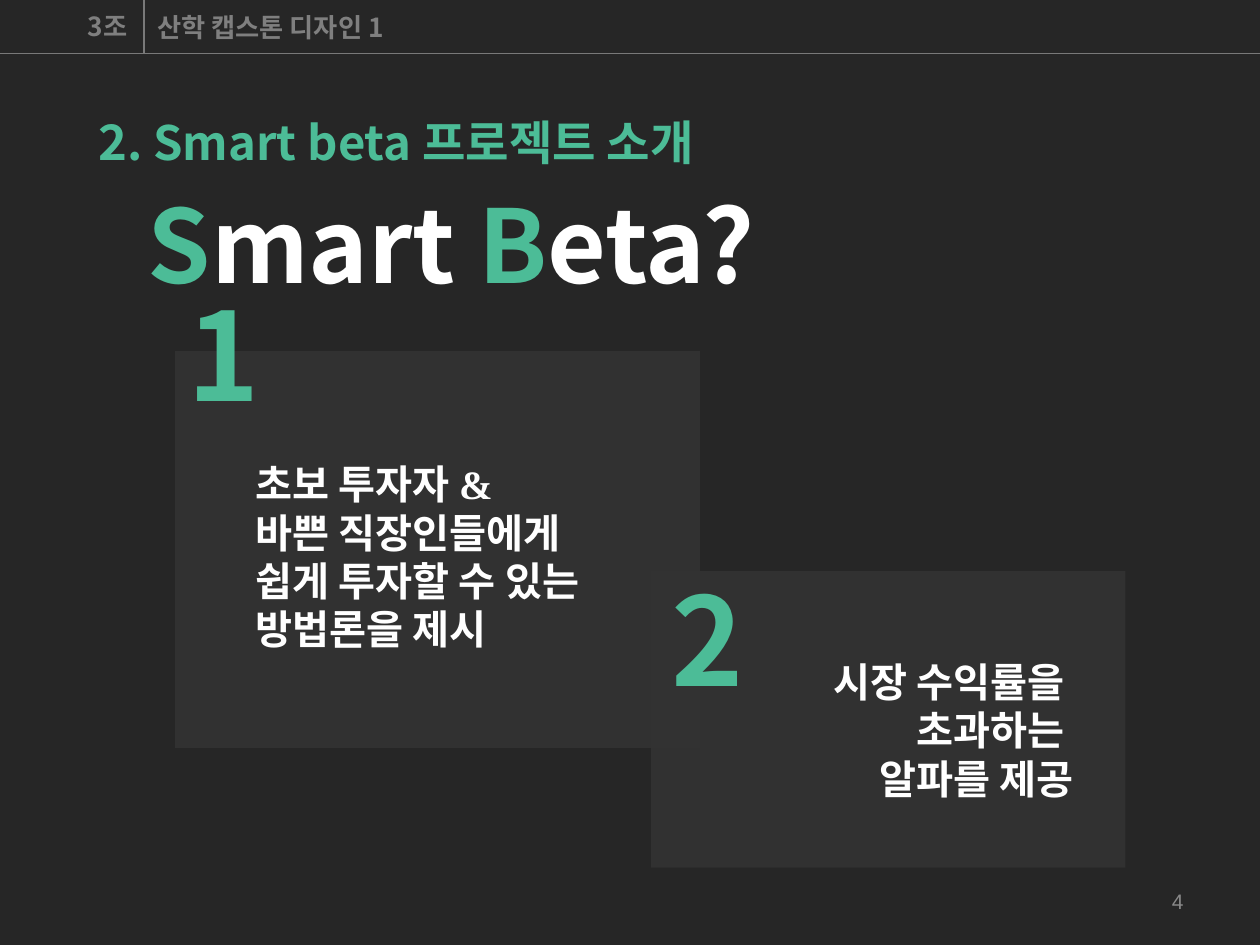
import pptx
import pptx.dml.color
import pptx.enum.shapes
import pptx.enum.text
import pptx.oxml.ns
import pptx.util
from lxml import etree

Cm = pptx.util.Cm
ALIGN = pptx.enum.text.PP_ALIGN
ANCHOR = pptx.enum.text.MSO_ANCHOR
KOREAN = "Noto Sans CJK KR"
COLOURS = {
    "background": "262626",
    "panel": "333333",
    "accent": "4CBC97",
    "text": "FFFFFF",
    "rule": "797979",
    "header": "7F7F7F",
    "page": "898989",
}


def rgb(name):
    """Return the named colour."""
    return pptx.dml.color.RGBColor.from_string(COLOURS[name])


def place(shape, box):
    """Move and size a shape to a box in centimetres."""
    shape.left, shape.top, shape.width, shape.height = map(Cm, box)


def add_run(paragraph, text, size, colour, font=KOREAN, bold=True):
    """Append one formatted run, with the font set for Korean letters too."""
    run = paragraph.add_run()
    run.text = text
    run.font.size = pptx.util.Pt(size)
    run.font.bold = bold
    run.font.name = font
    run.font.color.rgb = rgb(colour)
    east_asian = etree.SubElement(run.font._element, pptx.oxml.ns.qn("a:ea"))
    east_asian.set("typeface", font)


def write(shape, lines, align=ALIGN.LEFT, anchor=ANCHOR.TOP):
    """Fill a shape with lines, each a list of run arguments."""
    frame = shape.text_frame
    frame.word_wrap = True
    frame.auto_size = pptx.enum.text.MSO_AUTO_SIZE.NONE
    frame.vertical_anchor = anchor
    for index, runs in enumerate(lines):
        paragraph = frame.add_paragraph() if index else frame.paragraphs[0]
        paragraph.alignment = align
        for run in runs:
            add_run(paragraph, *run)


def add_text(slide, box, lines, **layout):
    """Add a text box with the given lines."""
    write(slide.shapes.add_textbox(*map(Cm, box)), lines, **layout)


def add_rule(slide, start, end):
    """Draw a thin straight line."""
    line = slide.shapes.add_connector(
        pptx.enum.shapes.MSO_CONNECTOR.STRAIGHT, *map(Cm, start + end))
    line.line.color.rgb = rgb("rule")
    line.line.width = pptx.util.Pt(0.75)
    etree.SubElement(line._element.spPr, pptx.oxml.ns.qn("a:effectLst"))


def add_header(slide, box):
    """Build the header strip with team and course names."""
    left, top, width, height = box
    divider = left + 2.9
    add_rule(slide, (left, top + height), (left + width, top + height))
    add_rule(slide, (divider, top), (divider, top + height))
    add_text(slide, (left + 1.52, top + 0.08, 1.8, 0.89), [[("3조", 15, "header")]])
    add_text(slide, (divider + 0.02, top + 0.1, 9.6, 0.86),
             [[("산학 캡스톤 디자인 1", 15, "header")]])


def add_heading(slide, box):
    """Build the section title and the large question below it."""
    left, top, width, height = box
    title = slide.shapes.title
    place(title, (left, top, 15.19, 1.4))
    write(title, [[("2", 28, "accent"), (". Smart beta 프로젝트 소개", 27, "accent")]])
    add_text(slide, (left + 1, top + 1.42, width - 1, height - 1.42),
             [[("S", 58, "accent"), ("mart ", 58, "text"),
               ("B", 58, "accent"), ("eta?", 58, "text")]])


def add_card(slide, box, number, number_offset, text_box, lines, align):
    """Build a translucent panel with its number and description."""
    left, top, width, height = box
    panel = slide.shapes.add_shape(
        pptx.enum.shapes.MSO_SHAPE.RECTANGLE, *map(Cm, box))
    panel.shadow.inherit = False
    panel.fill.solid()
    panel.fill.fore_color.rgb = rgb("panel")
    colour = panel._element.spPr.find(".//" + pptx.oxml.ns.qn("a:srgbClr"))
    etree.SubElement(colour, pptx.oxml.ns.qn("a:alpha")).set("val", "87000")
    panel.line.fill.background()
    across, down = number_offset
    add_text(slide, (left + across, top + down, 3, 4.2), [[(number, 70, "accent")]])
    across, down, text_width, text_height = text_box
    add_text(slide, (left + across, top + down, text_width, text_height),
             lines, align=align)


def add_page_number(slide, box):
    """Build the page number."""
    add_text(slide, box, [[("4", 12, "page", "Arial", False)]],
             align=ALIGN.RIGHT, anchor=ANCHOR.MIDDLE)


def main():
    """Build and save the slide."""
    presentation = pptx.Presentation()
    presentation.slide_width, presentation.slide_height = Cm(25.4), Cm(19.05)
    slide = presentation.slides.add_slide(presentation.slide_layouts[5])
    slide.background.fill.solid()
    slide.background.fill.fore_color.rgb = rgb("background")

    add_header(slide, (0, 0, 25.4, 1.08))
    add_heading(slide, (1.73, 2.13, 20.2, 6.58))
    investors = [[("초보 투자자 ", 23, "text"), ("&", 23, "text", "Times New Roman")]]
    investors += [[(line, 23, "text")] for line in (
        "바쁜 직장인들에게", "쉽게 투자할 수 있는", "방법론을 제시")]
    returns = [[(line, 23, "text")] for line in (
        "시장 수익률을 ", "초과하는 ", "알파를 제공")]
    add_card(slide, (3.53, 7.08, 10.58, 8), "1", (0, -1.57),
             (1.37, 2.06, 8.2, 4.14), investors, ALIGN.LEFT)
    add_card(slide, (13.12, 11.51, 9.57, 5.98), "2", (0.17, -0.26),
             (0.58, 1.62, 8.2, 3.18), returns, ALIGN.RIGHT)
    add_page_number(slide, (18.19, 17.65, 5.92, 1.02))
    presentation.save("out.pptx")


if __name__ == "__main__":
    main()
